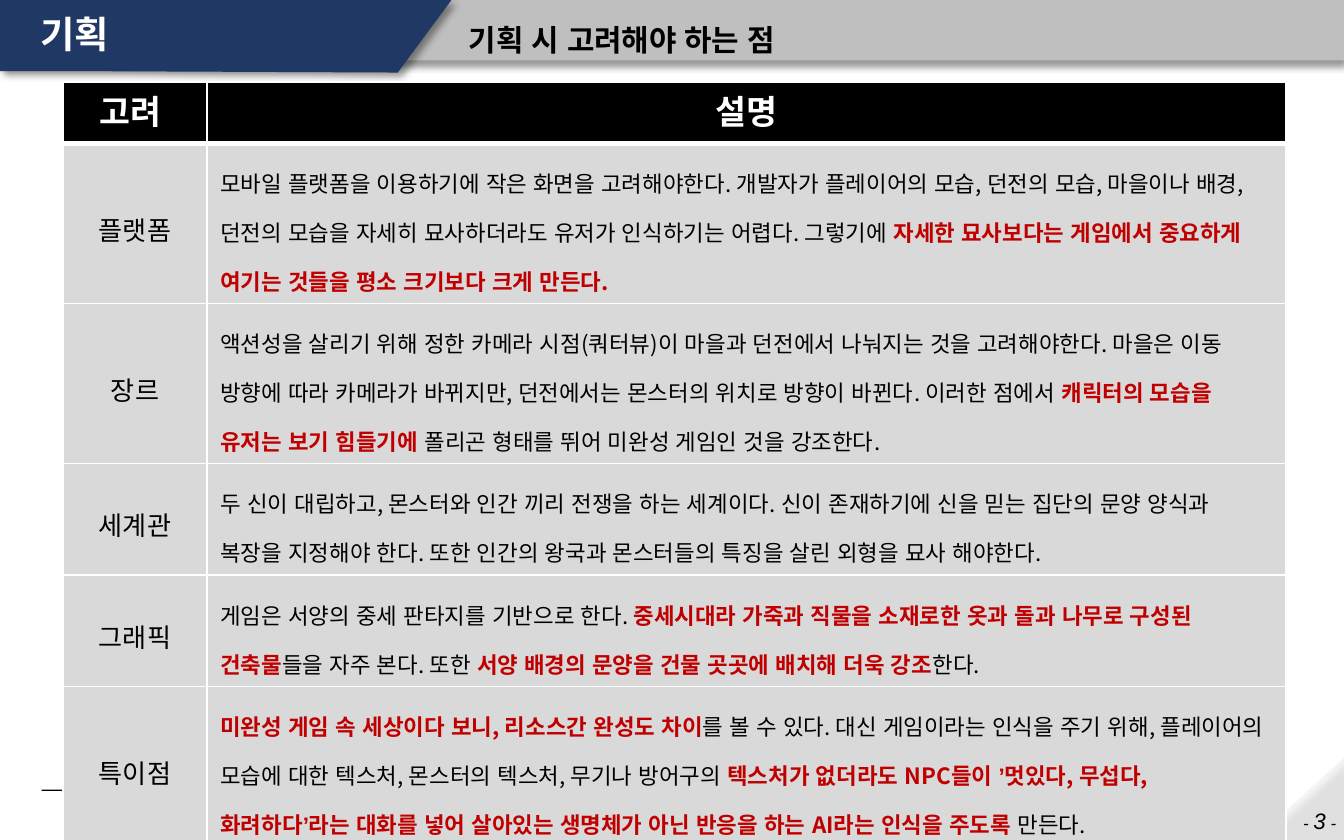
"""Build the slide on points to consider when planning the game."""
from lxml.etree import SubElement
from pptx import Presentation
from pptx.dml.color import RGBColor
from pptx.enum.shapes import MSO_CONNECTOR as CONNECTOR, MSO_SHAPE as SHAPE
from pptx.enum.text import MSO_ANCHOR as ANCHOR, MSO_AUTO_SIZE as AUTO_SIZE, PP_ALIGN as ALIGN
from pptx.oxml import parse_xml
from pptx.oxml.ns import nsdecls, qn
from pptx.util import Inches, Pt

KOREAN = "Noto Sans CJK KR"
BLACK, WHITE, RED = "000000", "FFFFFF", "C00000"


def add_text(paragraph, text, size=12, color=BLACK, bold=False, italic=False, font=KOREAN):
    run = paragraph.add_run()
    run.text = text
    run.font.size = Pt(size)
    run.font.bold = bold
    run.font.italic = italic
    run.font.name = font
    run.font.color.rgb = RGBColor.from_string(color)
    SubElement(run.font._element, qn("a:ea"), typeface="Arial")


def style_shape(shape, color, direction):
    shape.fill.solid()
    shape.fill.fore_color.rgb = RGBColor.from_string(color)
    shape.line.fill.background()
    shape.shadow.inherit = False
    effects = shape.element.spPr.find(qn("a:effectLst"))
    effects.append(parse_xml(
        f'<a:outerShdw {nsdecls("a")} blurRad="{Pt(4)}" dist="{Pt(3)}" dir="{direction * 60000}" '
        'algn="ctr" rotWithShape="0"><a:srgbClr val="000000"><a:alpha val="40000"/>'
        '</a:srgbClr></a:outerShdw>'))


presentation = Presentation()
presentation.slide_width = Inches(10)
presentation.slide_height = Inches(6.25)
slide = presentation.slides.add_slide(presentation.slide_layouts[5])
shapes = slide.shapes

header_bar = shapes.add_shape(SHAPE.RECTANGLE, 0, 0, Inches(10), Inches(0.45))
style_shape(header_bar, "BFBFBF", 90)

corners = [(3.36, 0), (2.96, 0.54), (0.7, 0.53), (0, 0.53)]
builder = shapes.build_freeform(0, 0)
builder.add_line_segments([(Inches(x), Inches(y)) for x, y in corners])
title_tab = builder.convert_to_shape()
style_shape(title_tab, "203864", 45)

page_corner = shapes.add_shape(SHAPE.RIGHT_TRIANGLE, Inches(9.36), Inches(5.61), Inches(0.61), Inches(0.67))
page_corner.rotation = 270
style_shape(page_corner, "F2F2F2", 45)
corner_color = page_corner.element.spPr.find(qn("a:solidFill"))[0]
SubElement(corner_color, qn("a:alpha"), val="70000")

page_number = shapes.add_textbox(Inches(8.94), Inches(5.96), Inches(1.1), Inches(0.2))
page_number.text_frame.word_wrap = True
paragraph = page_number.text_frame.paragraphs[0]
paragraph.alignment = ALIGN.RIGHT
for text, size in [("- ", 9), ("3", 12), (" -", 9)]:
    add_text(paragraph, text, size=size, italic=True, font="Arial")

footer_line = shapes.add_connector(CONNECTOR.STRAIGHT, Inches(0.31), Inches(5.88), Inches(9.41), Inches(5.87))
footer_line.line.color.rgb = RGBColor.from_string(BLACK)
footer_line.line.width = Pt(0.75)
SubElement(footer_line.element.spPr, qn("a:effectLst"))

considerations = [
    ("고려 ", "설명"),
    ("플랫폼", "모바일 플랫폼을 이용하기에 작은 화면을 고려해야한다. 개발자가 플레이어의 모습, 던전의 모습, "
     "마을이나 배경, 던전의 모습을 자세히 묘사하더라도 유저가 인식하기는 어렵다. 그렇기에 "
     "|자세한 묘사보다는 게임에서 중요하게 여기는 것들을 평소 크기보다 크게 만든다."),
    ("장르", "액션성을 살리기 위해 정한 카메라 시점(쿼터뷰)이 마을과 던전에서 나눠지는 것을 고려해야한다. "
     "마을은 이동 방향에 따라 카메라가 바뀌지만, 던전에서는 몬스터의 위치로 방향이 바뀐다. 이러한 점에서 "
     "|캐릭터의 모습을 유저는 보기 힘들기에 |폴리곤 형태를 뛰어 미완성 게임인 것을 강조한다."),
    ("세계관", "두 신이 대립하고, 몬스터와 인간 끼리 전쟁을 하는 세계이다. 신이 존재하기에 신을 믿는 집단의 "
     "문양 양식과 복장을 지정해야 한다. 또한 인간의 왕국과 몬스터들의 특징을 살린 외형을 묘사 해야한다."),
    ("그래픽", "게임은 서양의 중세 판타지를 기반으로 한다. "
     "|중세시대라 가죽과 직물을 소재로한 옷과 돌과 나무로 구성된 건축물|들을 자주 본다. 또한 "
     "|서양 배경의 문양을 건물 곳곳에 배치해 더욱 강조|한다."),
    ("특이점", "|미완성 게임 속 세상이다 보니, 리소스간 완성도 차이|를 볼 수 있다. 대신 게임이라는 인식을 주기 "
     "위해, 플레이어의 모습에 대한 텍스처, 몬스터의 텍스처, 무기나 방어구의 "
     "|텍스처가 없더라도 NPC들이 ’멋있다, 무섭다, 화려하다’라는 대화를 넣어 살아있는 생명체가 아닌 "
     "반응을 하는 AI라는 인식을 주도록| 만든다."),
]
row_heights = [0.46, 1.19, 1.19, 0.83, 0.83, 1.19]
table_frame = shapes.add_table(len(considerations), 2, Inches(0.47), Inches(0.61), Inches(9.1), Inches(5.69))
table = table_frame.table
for column, width in zip(table.columns, [1.07, 8.03]):
    column.width = Inches(width)
for row, height in zip(table.rows, row_heights):
    row.height = Inches(height)

for row_index, row_texts in enumerate(considerations):
    is_header = row_index == 0
    for column_index, cell_text in enumerate(row_texts):
        cell = table.cell(row_index, column_index)
        cell.vertical_anchor = ANCHOR.MIDDLE
        paragraph = cell.text_frame.paragraphs[0]
        is_label = column_index == 0
        paragraph.alignment = ALIGN.CENTER if is_header or is_label else ALIGN.LEFT
        if is_header:
            add_text(paragraph, cell_text, size=18, color=WHITE, bold=True)
        else:
            paragraph.line_spacing = 1.5
            for part_index, part in enumerate(cell_text.split("|")):
                is_key = part_index % 2 == 1
                if part:
                    add_text(paragraph, part, size=14 if is_label else 12,
                             color=RED if is_key else BLACK, bold=is_key)
        properties = cell._tc.get_or_add_tcPr()
        for side in ["lnL", "lnR", "lnT", "lnB"]:
            thick = (is_header and side == "lnB") or (row_index == 1 and side == "lnT")
            border = SubElement(properties, qn(f"a:{side}"), w=str(Pt(3 if thick else 1)))
            border_fill = SubElement(border, qn("a:solidFill"))
            SubElement(border_fill, qn("a:srgbClr"), val=WHITE)
        cell.fill.solid()
        cell.fill.fore_color.rgb = RGBColor.from_string(BLACK if is_header else "D9D9D9")

title = shapes.title
shapes.element.append(title.element)
title.left, title.top, title.width, title.height = Inches(0.2), 0, Inches(2.99), Inches(0.54)
subtitle = shapes.add_textbox(Inches(3.39), 0, Inches(6.61), Inches(0.45))
headings = [(title, "기획", 20, WHITE, 0.9), (subtitle, "기획 시 고려해야 하는 점", 16, BLACK, 1.5)]
for shape, text, size, color, spacing in headings:
    frame = shape.text_frame
    frame.word_wrap = True
    frame.auto_size = AUTO_SIZE.NONE
    frame.vertical_anchor = ANCHOR.MIDDLE
    paragraph = frame.paragraphs[0]
    paragraph.alignment = ALIGN.LEFT
    paragraph.line_spacing = spacing
    add_text(paragraph, text, size=size, color=color, bold=True, font="Arial")

presentation.save("out.pptx")
